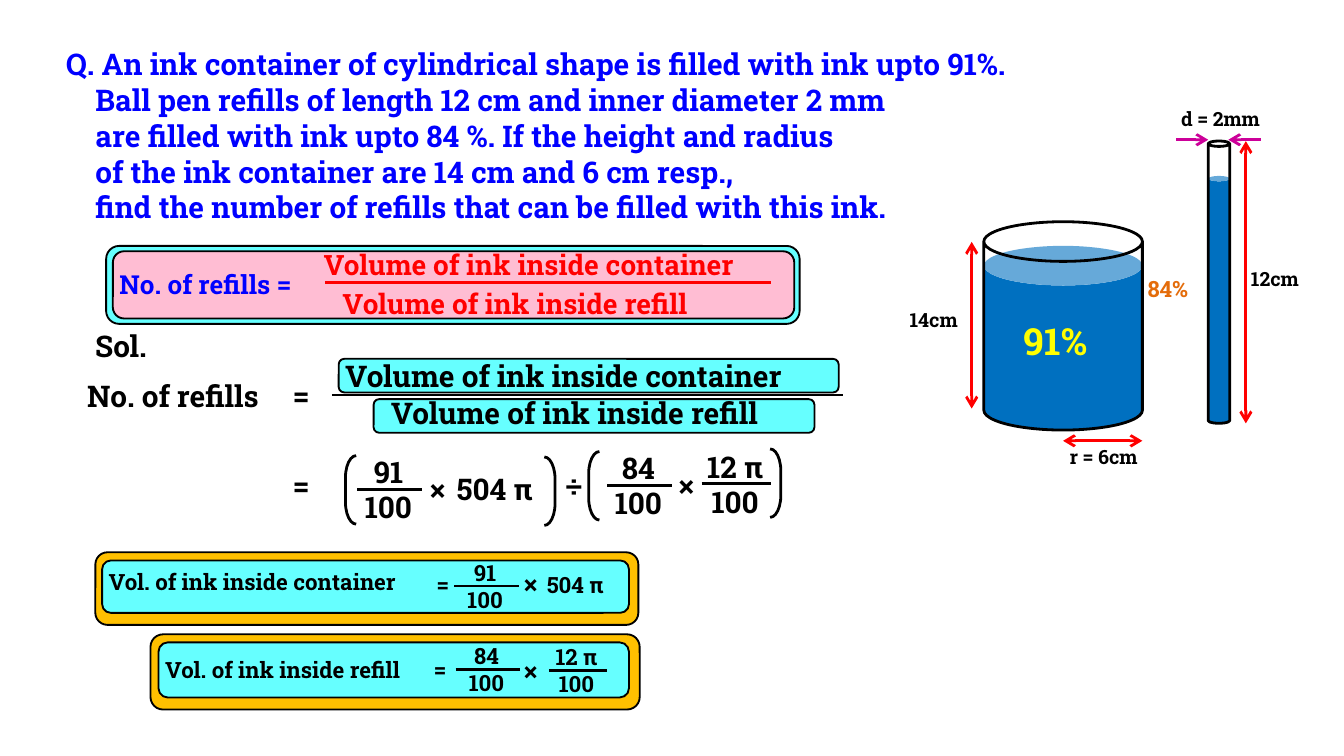
"""Build the slide on filling pen refills from a cylindrical ink container."""
from dataclasses import dataclass
from typing import NamedTuple, Optional

from lxml.etree import SubElement
from pptx import Presentation
from pptx.dml.color import RGBColor
from pptx.enum.shapes import MSO_CONNECTOR as Connector, MSO_SHAPE as Shape
from pptx.enum.text import MSO_ANCHOR as Anchor, MSO_AUTO_SIZE as AutoSize, PP_ALIGN as Align
from pptx.oxml.ns import qn
from pptx.util import Inches, Pt


@dataclass(frozen=True)
class Theme:
    font: str = "Roboto Slab"
    black: str = "000000"
    blue: str = "0000FF"
    red: str = "FF0000"
    pink: str = "FFBDD3"
    cyan: str = "66FFFF"
    gold: str = "FFC000"
    ink: str = "0070C0"
    yellow: str = "FFFF00"
    orange: str = "E46C0A"
    magenta: str = "CC0099"
    huge: float = 20
    large: float = 16
    formula: float = 15
    medium: float = 14
    small: float = 12
    tiny: float = 10.5
    stroke: float = 1.5
    border: float = 1


T = Theme()
WIDTH, COLUMNS = Inches(10), 100
HEIGHT = WIDTH * 9 // 16


def grid(cells: float) -> int:
    """Convert square grid cells, 100 to the slide's width, to a length."""
    return round(cells * WIDTH / COLUMNS)


class Box(NamedTuple):
    x: float
    y: float
    w: float
    h: float


@dataclass(frozen=True)
class Label:
    text: str
    x: float
    y: float
    w: float
    size: float = T.large
    color: str = T.black
    align: Align = Align.LEFT


@dataclass(frozen=True)
class Line:
    x1: float
    y1: float
    x2: float
    y2: float
    color: str = T.black
    arrows: tuple = ()


@dataclass(frozen=True)
class Fraction:
    top: str
    center: float
    rule: float
    width: float = 4.8
    size: float = T.large


def style(p, size: float, color: str, align: Align) -> None:
    """Format one paragraph."""
    p.alignment = align
    p.font.name, p.font.size, p.font.bold = T.font, Pt(size), True
    p.font.color.rgb = RGBColor.from_string(color)


def draw_label(shapes, label: Label) -> None:
    """Draw a one-line text box."""
    height = label.size * 0.17 + 1
    tb = shapes.add_textbox(*map(grid, (label.x, label.y, label.w, height)))
    tf = tb.text_frame
    tf.word_wrap = True
    p = tf.paragraphs[0]
    p.text = label.text
    style(p, label.size, label.color, label.align)


def draw_line(shapes, line: Line) -> None:
    """Draw a straight line with optional arrowheads."""
    ends = map(grid, (line.x1, line.y1, line.x2, line.y2))
    cx = shapes.add_connector(Connector.STRAIGHT, *ends)
    cx.line.color.rgb = RGBColor.from_string(line.color)
    cx.line.width = Pt(T.stroke)
    ln = cx._element.spPr.get_or_add_ln()
    for end in line.arrows:
        SubElement(ln, qn(f"a:{end}")).set("type", "arrow")
    SubElement(cx._element.spPr, qn("a:effectLst"))


def draw_shape(shapes, kind: Shape, box: Box, fill: Optional[str] = None,
               width: float = 0, adjust: Optional[float] = None) -> None:
    """Draw a preset shape, filled, outlined or both."""
    sp = shapes.add_shape(kind, *map(grid, box))
    sp.shadow.inherit = False
    if fill:
        sp.fill.solid()
        sp.fill.fore_color.rgb = RGBColor.from_string(fill)
    else:
        sp.fill.background()
    if width:
        sp.line.color.rgb = RGBColor.from_string(T.black)
        sp.line.width = Pt(width)
    else:
        sp.line.fill.background()
    if adjust is not None:
        sp.adjustments[0] = adjust


def draw_fraction(shapes, f: Fraction) -> None:
    """Draw a fraction over 100 as a group centred on its rule."""
    group = shapes.add_group_shape().shapes
    rise = 3.1 if f.size == T.large else 2.5
    for text, y, w in ((f.top, f.rule - rise, 7.2), ("100", f.rule - 0.5, 6.5)):
        draw_label(group, Label(text, f.center - w / 2, y, w, f.size, align=Align.CENTER))
    left = f.center + 0.1 - f.width / 2
    draw_line(group, Line(left, f.rule, left + f.width, f.rule))


def draw_cylinder(shapes, x: float, w: float, rim: float, level: float, base: float,
                  labels: list[Label], lines: list[Line]) -> None:
    """Draw a vessel with ink up to a level, and its dimensions."""
    group = shapes.add_group_shape().shapes
    draw_shape(group, Shape.CAN, Box(x, level, w, base - level), T.ink)
    draw_shape(group, Shape.CAN, Box(x, rim, w, base - rim), width=T.stroke)
    for label in labels:
        draw_label(group, label)
    for line in lines:
        draw_line(group, line)


def draw_question(title, lines: list[str]) -> None:
    """Place the question in the title placeholder."""
    title.left, title.top, title.width, title.height = map(grid, (3.9, 2.9, 82.3, 14.5))
    tf = title.text_frame
    tf.auto_size, tf.word_wrap, tf.vertical_anchor = AutoSize.NONE, True, Anchor.TOP
    tf.text = "\n".join(lines)
    for i, p in enumerate(tf.paragraphs):
        if i:
            p._p.get_or_add_pPr().set("marL", str(grid(2.2)))
        style(p, T.large, T.blue, Align.LEFT)


QUESTION = [
    "Q. An ink container of cylindrical shape is filled with ink upto 91%.",
    "Ball pen refills of length 12 cm and inner diameter 2 mm",
    "are filled with ink upto 84 %. If the height and radius",
    "of the ink container are 14 cm and 6 cm resp.,",
    "find the number of refills that can be filled with this ink.",
]
CONTAINER, REFILL = "Volume of ink inside container", "Volume of ink inside refill"
PANELS = [
    (Box(11.2, 47.2, 36.4, 5.6), T.gold), (Box(11.8, 47.8, 35, 4.1), T.cyan),
    (Box(7.1, 41.1, 40.4, 5.4), T.gold), (Box(7.6, 41.7, 39.2, 3.9), T.cyan),
    (Box(7.9, 18.3, 51.6, 5.8), T.cyan), (Box(8.4, 18.7, 50.7, 5), T.pink),
    (Box(27.8, 29.7, 32.8, 2.5), T.cyan), (Box(25.2, 26.7, 37.2, 2.5), T.cyan),
]
LABELS = [
    Label("No. of refills =", 7.9, 19.5, 23.8, T.medium, T.blue),
    Label(CONTAINER, 23.1, 17.9, 36, T.formula, T.red),
    Label(REFILL, 24.5, 20.8, 30.6, T.formula, T.red),
    Label("Sol.", 6.1, 23.9, 7.2),
    Label("No. of refills", 5.5, 27.6, 16.3),
    Label("=", 20.8, 27.6, 3.2),
    Label(CONTAINER, 24.7, 26.1, 38.2),
    Label(REFILL, 28.1, 28.9, 32.6),
    Label("=", 20.8, 34.3, 3.2),
    Label("×", 31, 34.6, 4.2),
    Label("504 π", 33, 34.5, 8.6),
    Label("÷", 41.1, 34.3, 3.1),
    Label("×", 49.5, 34.3, 4.2),
    Label("Vol. of ink inside container", 7.1, 41.8, 26, T.small),
    Label("=", 31.5, 42, 3.2, T.small),
    Label("×", 38, 41.8, 4.2, T.medium),
    Label("504 π", 39.7, 42, 8.6, T.small),
    Label("Vol. of ink inside refill", 11.3, 48.3, 21.7, T.small),
    Label("=", 31.3, 48.3, 3.2, T.small),
    Label("×", 38, 48.3, 4.2, T.medium),
]
FRACTIONS = [
    Fraction("91", 28.9, 36.4), Fraction("84", 47.5, 36.1), Fraction("12 π", 54.7, 36, 5.2),
    Fraction("91", 36.1, 43.6, size=T.small), Fraction("84", 36.2, 49.8, size=T.small),
    Fraction("12 π", 42.9, 49.9, 4.3, T.small),
]
BRACKETS = [
    (Shape.LEFT_BRACKET, 25.7, 33.9), (Shape.RIGHT_BRACKET, 40.5, 34),
    (Shape.LEFT_BRACKET, 43.8, 33.6), (Shape.RIGHT_BRACKET, 57.3, 33.4),
]
RULES = [Line(24.2, 21, 57.4, 21, T.red), Line(24.7, 29.4, 62.7, 29.4)]
BOTH, TAIL = ("headEnd", "tailEnd"), ("tailEnd",)


def main() -> None:
    """Build and save the presentation."""
    prs = Presentation()
    prs.slide_width, prs.slide_height = WIDTH, HEIGHT
    s = prs.slides.add_slide(prs.slide_layouts[5])
    shapes = s.shapes
    draw_question(shapes.title, QUESTION)
    for box, fill in PANELS:
        draw_shape(shapes, Shape.ROUNDED_RECTANGLE, box, fill, T.border)
    for label in LABELS:
        draw_label(shapes, label)
    for rule in RULES:
        draw_line(shapes, rule)
    for fraction in FRACTIONS:
        draw_fraction(shapes, fraction)
    for kind, x, y in BRACKETS:
        draw_shape(shapes, kind, Box(x, y, 0.8, 5.1), width=T.stroke, adjust=2.07)
    draw_cylinder(
        shapes, 73.2, 11.8, 16.5, 18.3, 32,
        [Label("91%", 75.2, 23.2, 8.4, T.huge, T.yellow),
         Label("14cm", 66.7, 22.4, 6.5, T.tiny),
         Label("r = 6cm", 78.6, 32.6, 8.2, T.tiny)],
        [Line(72.3, 18, 72.3, 30.4, T.red, BOTH), Line(79.1, 32.8, 85, 32.8, T.red, BOTH)])
    draw_cylinder(
        shapes, 89.9, 1.6, 10.5, 13.1, 31.5,
        [Label("84%", 84.4, 20, 5.8, T.small, T.orange),
         Label("12cm", 92.1, 19.4, 6.3, T.tiny),
         Label("d = 2mm", 86.9, 7.5, 8.8, T.tiny)],
        [Line(92.7, 10.5, 92.7, 31.5, T.red, BOTH),
         Line(87.5, 10.4, 89.9, 10.4, T.magenta, TAIL),
         Line(93.8, 10.4, 91.4, 10.4, T.magenta, TAIL)])
    prs.save("out.pptx")


if __name__ == "__main__":
    main()
